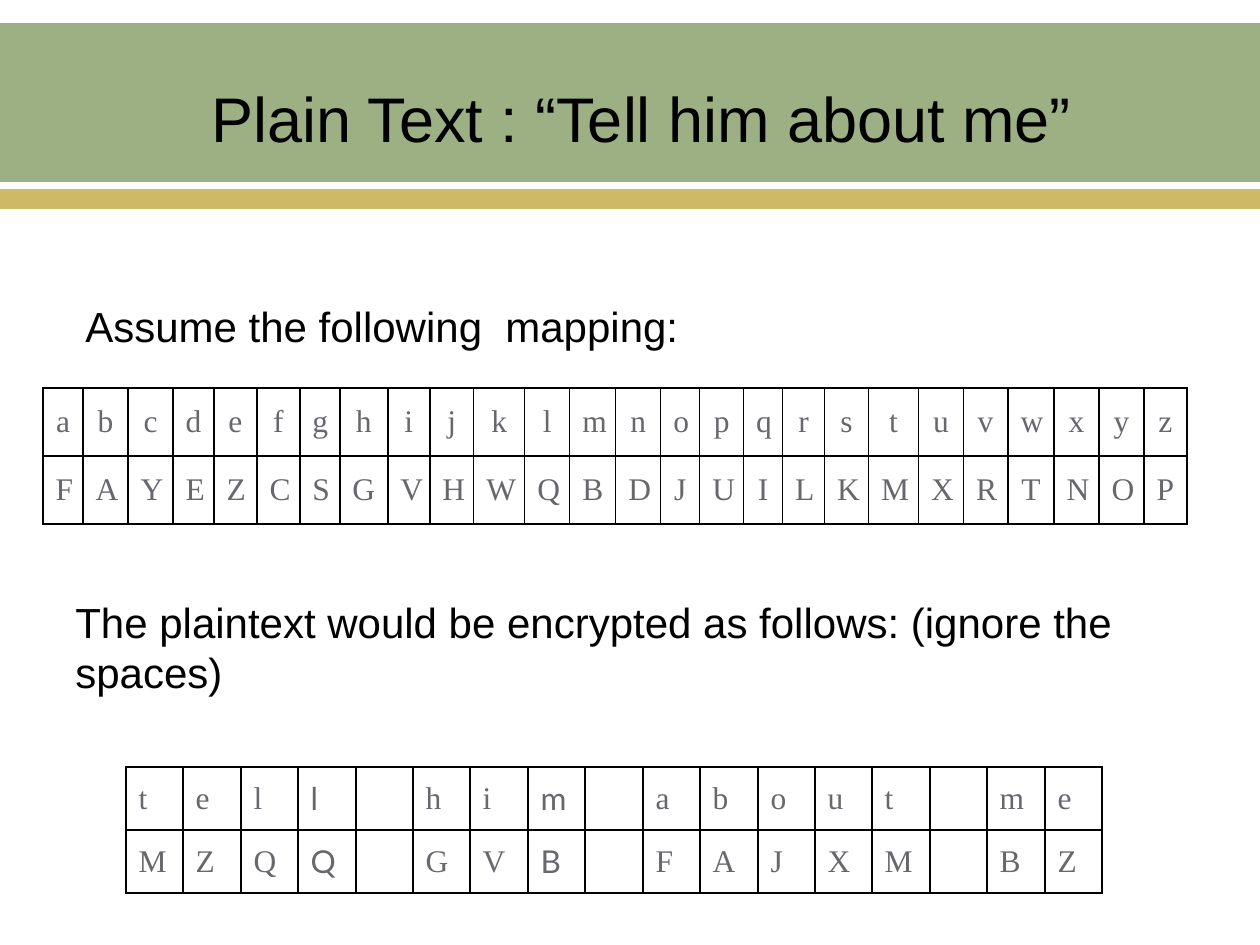
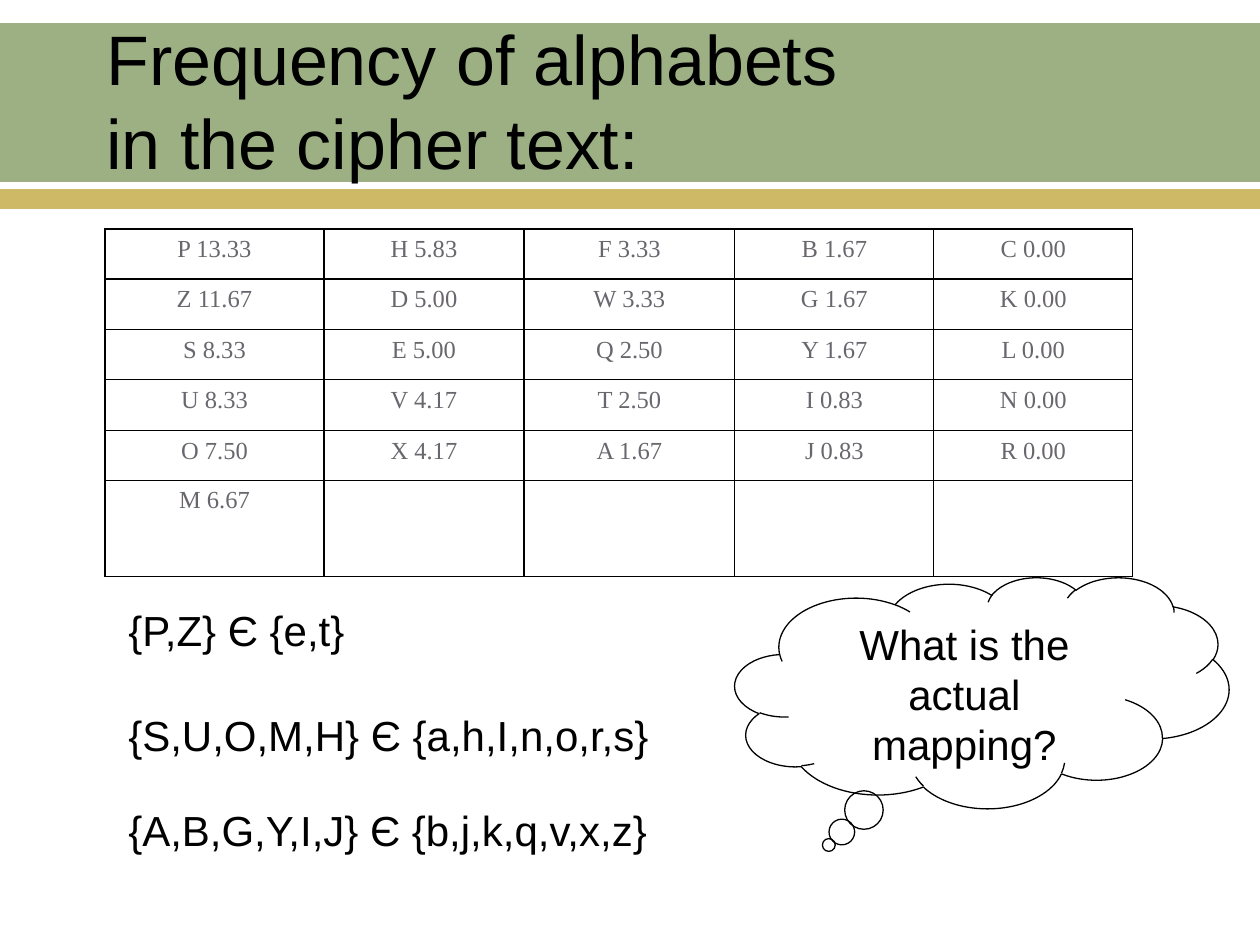
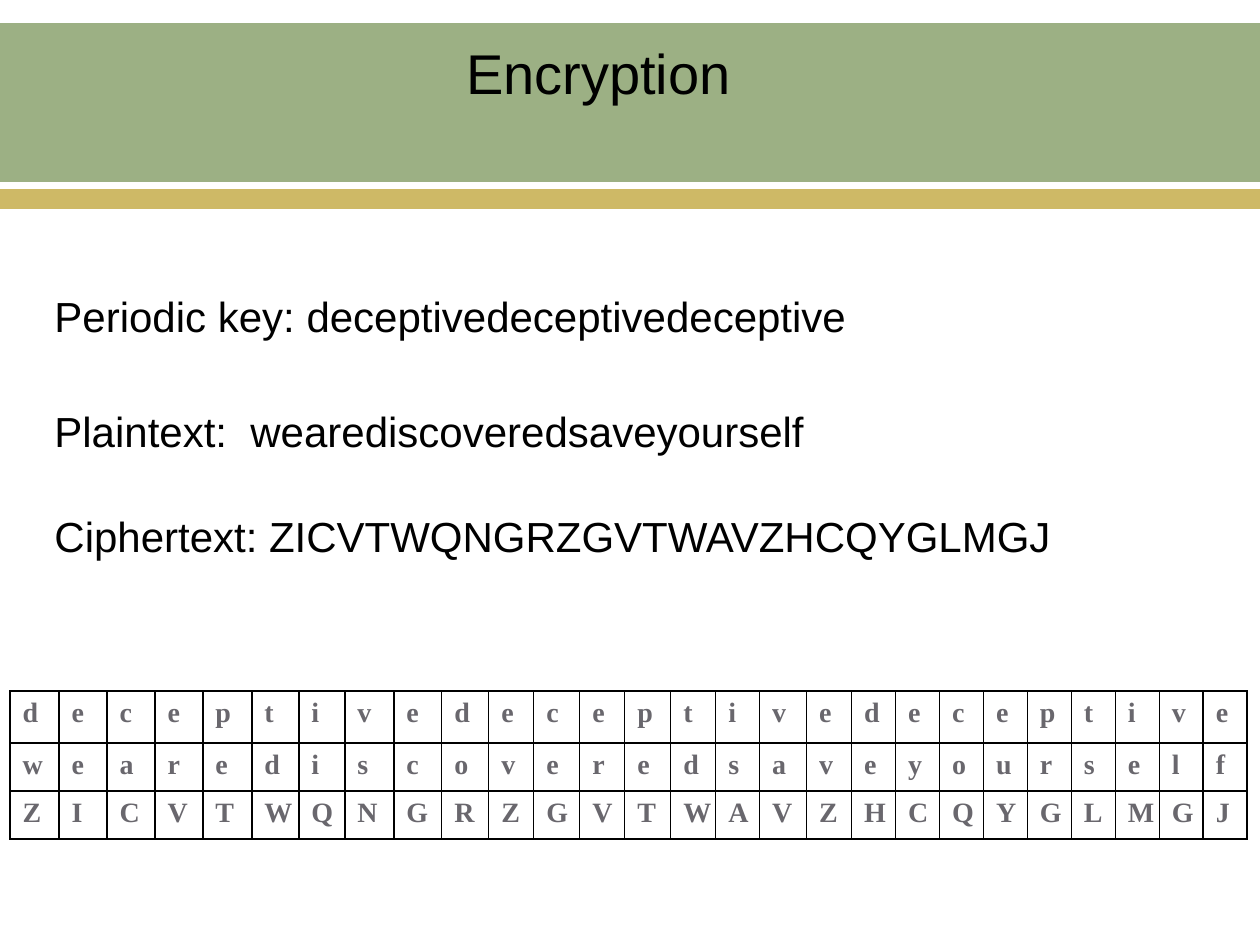
from lxml.etree import SubElement
from pptx import Presentation
from pptx.dml.color import RGBColor
from pptx.enum.shapes import MSO_SHAPE
from pptx.enum.text import MSO_ANCHOR, PP_ALIGN
from pptx.oxml.ns import qn
from pptx.util import Emu, Pt

COLORS = {
    "band": "9CB084",
    "stripe": "CEB966",
    "text": "000000",
    "cell": "69676D",
    "border": "000000",
}
TEXT_FONT, CELL_FONT, ACCENT_FONT = "Arial", "Times New Roman", "Lato"
PAGE_WIDTH, PAGE_HEIGHT = 1260, 945
BODY_SIZE = 24
LINE_FACTOR = 1.2


def px(length):
    return Emu(round(length * 914400 / 126))


def box_emu(box):
    return [px(length) for length in box]


def rgb(name):
    return RGBColor.from_string(COLORS[name])


def even_widths(total, count):
    """Split a whole length into whole parts that differ by one at most."""
    edges = [round(total * i / count) for i in range(count + 1)]
    return [right - left for left, right in zip(edges, edges[1:])]


# Shared parts

def style_font(font, name, size, color, bold=False):
    font.name, font.size, font.bold = name, Pt(size), bold
    font.color.rgb = rgb(color)


def fill_text(frame, text, size, align):
    frame.word_wrap = True
    frame.vertical_anchor = MSO_ANCHOR.TOP
    para = frame.paragraphs[0]
    para.text = text
    para.alignment = align
    para.line_spacing = Pt(size * LINE_FACTOR)
    style_font(para.font, TEXT_FONT, size, "text")


def add_text(page, box, text, size=BODY_SIZE, align=PP_ALIGN.LEFT):
    fill_text(page.shapes.add_textbox(*box_emu(box)).text_frame, text, size, align)


def add_band(page, top, height, color):
    band = page.shapes.add_shape(
        MSO_SHAPE.RECTANGLE, *box_emu((0, top, PAGE_WIDTH, height)))
    band.shadow.inherit = False
    band.fill.solid()
    band.fill.fore_color.rgb = rgb(color)
    band.line.fill.background()


def add_page(deck):
    page = deck.slides.add_slide(deck.slide_layouts[6])
    add_band(page, 23, 159, "band")
    add_band(page, 189, 20, "stripe")
    return page


def set_borders(cell, width):
    properties = cell._tc.get_or_add_tcPr()
    for side in ("a:lnL", "a:lnR", "a:lnT", "a:lnB"):
        line = SubElement(properties, qn(side), w=str(Pt(width)))
        fill = SubElement(line, qn("a:solidFill"))
        SubElement(fill, qn("a:srgbClr"), val=COLORS["border"])


def add_grid(page, left, top, widths, heights, rows, size, align,
             anchor=MSO_ANCHOR.TOP, bold=False, border=1, accent_columns=()):
    """Each row is a sequence of cell texts; a blank one stays empty."""
    box = (left, top, sum(widths), sum(heights))
    table = page.shapes.add_table(len(heights), len(widths), *box_emu(box)).table
    table.first_row = table.horz_banding = False
    for column, width in zip(table.columns, widths):
        column.width = px(width)
    for row, height in zip(table.rows, heights):
        row.height = px(height)
    for r, texts in enumerate(rows):
        for c, text in enumerate(texts):
            cell = table.cell(r, c)
            set_borders(cell, border)
            cell.fill.background()
            cell.vertical_anchor = anchor
            if not text.strip():
                continue
            accented = c in accent_columns
            para = cell.text_frame.paragraphs[0]
            para.text = text
            para.alignment = PP_ALIGN.LEFT if accented else align
            style_font(para.font, ACCENT_FONT if accented else CELL_FONT,
                       size, "cell", bold)


def add_thought(page, box, text):
    cloud = page.shapes.add_shape(MSO_SHAPE.CLOUD_CALLOUT, *box_emu(box))
    cloud.adjustments[0], cloud.adjustments[1] = -0.31, 0.66
    cloud.shadow.inherit = False
    cloud.fill.background()
    cloud.line.color.rgb = rgb("border")
    cloud.line.width = Pt(0.75)
    fill_text(cloud.text_frame, text, BODY_SIZE, PP_ALIGN.CENTER)


# Slides

def build_substitution(deck):
    page = add_page(deck)
    add_text(page, (199, 73, 935, 88), "Plain Text : “Tell him about me”", 36)
    add_text(page, (73, 294, 620, 63), "Assume the following  mapping:")

    # Alphabet mapping, in two tables that touch
    plain, cipher = "abcdefghijklmnopqrstuvwxyz", "FAYEZCSGVHWQBDJUILKMXRTNOP"
    widths = [40, 45, 45, 41, 43, 43, 40, 48, 42, 44, 51, 45, 46,
              45, 39, 44, 39, 42, 44, 50, 45, 44, 46, 45, 45, 43]
    left, split = 43, 22
    for part in (slice(0, split), slice(split, None)):
        add_grid(page, left, 388, widths[part], [68, 68],
                 [plain[part], cipher[part]], 18, PP_ALIGN.CENTER, MSO_ANCHOR.MIDDLE)
        left += sum(widths[part])

    # Encrypted message
    add_text(page, (63, 590, 1081, 113),
             "The plaintext would be encrypted as follows: (ignore the spaces)")
    message = ["tell him about me", "MZQQ GVB FAJXM BZ"]
    add_grid(page, 126, 767, even_widths(976, len(message[0])), [63, 63], message,
             18, PP_ALIGN.JUSTIFY, MSO_ANCHOR.MIDDLE, accent_columns=(3, 7))


def build_frequency(deck):
    page = add_page(deck)
    add_text(page, (94, 9, 809, 180), "Frequency of alphabets in the cipher text:", 40)

    # Letter frequencies
    rows = [
        ["P 13.33", "H 5.83", "F 3.33", "B 1.67", "C 0.00"],
        ["Z 11.67", "D 5.00", "W 3.33", "G 1.67", "K 0.00"],
        ["S 8.33", "E 5.00", "Q 2.50", "Y 1.67", "L 0.00"],
        ["U 8.33", "V 4.17", "T 2.50", "I 0.83", "N 0.00"],
        ["O 7.50", "X 4.17", "A 1.67", "J 0.83", "R 0.00"],
        ["M 6.67", "", "", "", ""],
    ]
    add_grid(page, 105, 229, [219, 200, 211, 199, 199], even_widths(252, 5) + [96],
             rows, 14, PP_ALIGN.CENTER, border=0.75)

    # Likely letter groups
    groups = [(598, "{P,Z} Є {e,t}"),
              (703, "{S,U,O,M,H} Є {a,h,I,n,o,r,s}"),
              (798, "{A,B,G,Y,I,J} Є {b,j,k,q,v,x,z}")]
    for top, text in groups:
        add_text(page, (116, top, 557, 63), text)
    add_thought(page, (735, 577, 494, 231), "What is the actual mapping?")


def build_encryption(deck):
    page = add_page(deck)
    add_text(page, (378, 32, 441, 79), "Encryption", 32, PP_ALIGN.CENTER)

    key = "deceptive" * 3
    plain = "wearediscoveredsaveyourself"
    cipher = "ZICVTWQNGRZGVTWAVZHCQYGLMGJ"
    lines = [(284, f"Periodic key: {key}"),
             (399, f"Plaintext:  {plain}"),
             (504, f"Ciphertext: {cipher}")]
    for top, text in lines:
        add_text(page, (42, top, 1180, 63), text)

    # Letter by letter
    widths = [49, 48, 48, 48, 49, 47, 46, 49, 48, 47, 45, 46, 45,
              46, 45, 44, 47, 45] + [44] * 9
    add_grid(page, 10, 691, widths, [52, 48, 48], [key, plain, cipher],
             16, PP_ALIGN.LEFT, bold=True)


def main():
    deck = Presentation()
    deck.slide_width, deck.slide_height = px(PAGE_WIDTH), px(PAGE_HEIGHT)
    build_substitution(deck)
    build_frequency(deck)
    build_encryption(deck)
    deck.save("out.pptx")


if __name__ == "__main__":
    main()
